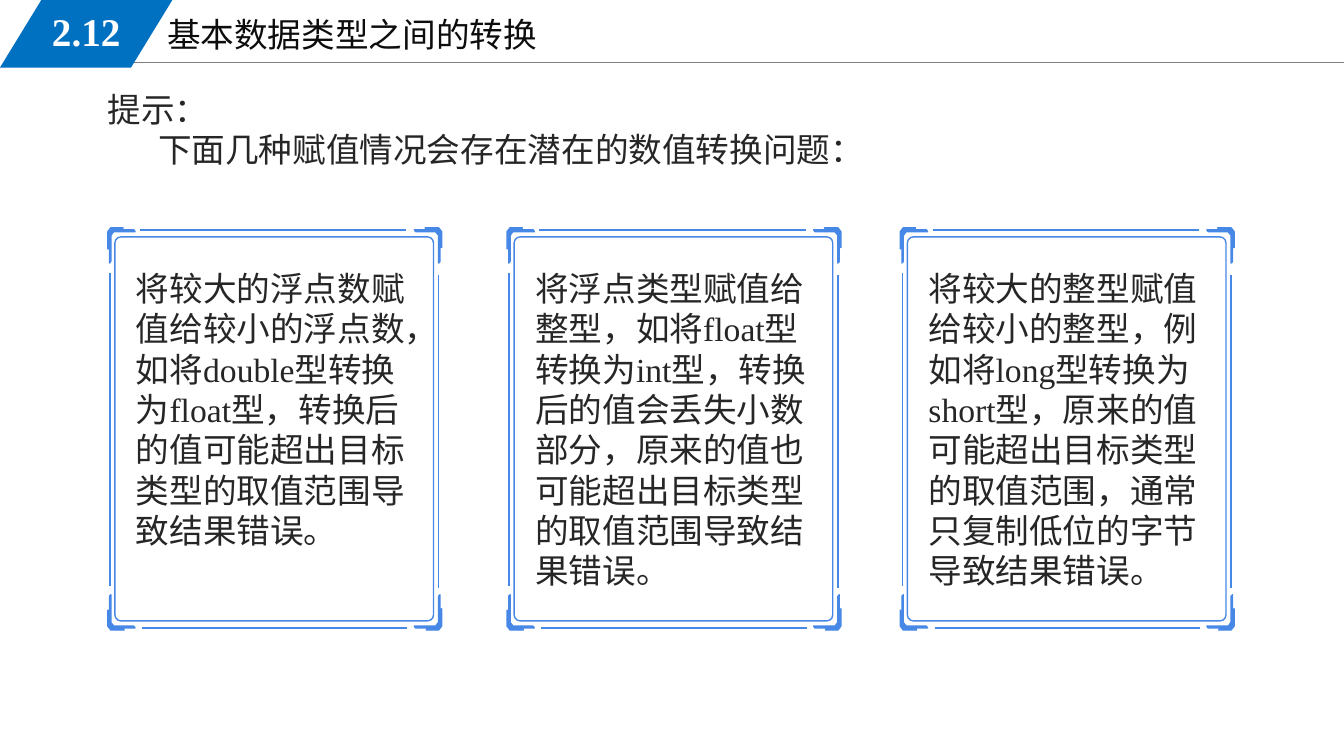
from lxml import etree
from pptx import Presentation
from pptx.dml.color import RGBColor
from pptx.enum.lang import MSO_LANGUAGE_ID as Language
from pptx.enum.shapes import MSO_CONNECTOR as Connector, MSO_SHAPE as Preset
from pptx.enum.text import MSO_ANCHOR as Anchor, MSO_AUTO_SIZE as AutoSize, PP_ALIGN as Align
from pptx.oxml.ns import qn
from pptx.util import Inches, Pt

SECTION = "2.12"
TITLE = "基本数据类型之间的转换"
HINT = ["提示：", "\t下面几种赋值情况会存在潜在的数值转换问题："]
# left edge of the card, text height, text
CARDS = [
    (1.07, 2.93, "将较大的浮点数赋值给较小的浮点数，如将double型转换为float型，"
                 "转换后的值可能超出目标类型的取值范围导致结果错误。"),
    (5.03, 3.33, "将浮点类型赋值给整型，如将float型转换为int型，转换后的值会丢失小数部分，"
                 "原来的值也可能超出目标类型的取值范围导致结果错误。"),
    (8.93, 3.33, "将较大的整型赋值给较小的整型，例如将long型转换为short型，"
                 "原来的值可能超出目标类型的取值范围，通常只复制低位的字节导致结果错误。"),
]

FONT = "Times New Roman"
WHITE = RGBColor(0xFF, 0xFF, 0xFF)
TITLE_INK = RGBColor(0x0D, 0x0D, 0x0D)
BODY_INK = RGBColor(0x26, 0x26, 0x26)
GRAY = RGBColor(0x80, 0x80, 0x80)
TAB_BLUE = RGBColor(0x00, 0x70, 0xC0)
FRAME_BLUE = RGBColor(0x47, 0x88, 0xE6)

CARD_TOP, CARD_WIDTH, CARD_HEIGHT = 2.26, 3.31, 3.99
BRACKET_WIDTH, BRACKET_HEIGHT = 0.27, 0.35
# Bottom-right bracket, as fractions of its size measured back from the corner
BRACKET = [
    (0.11, 0), (0.3, 0), (0.56, 0), (0.51, 0.06), (0.96, 0.06), (1, 0.11),
    (0.21, 0.11), (0.11, 0.22), (0.11, 0.95), (0.06, 1), (0.06, 0.54),
    (0, 0.6), (0, 0.17), (0, 0.11),
]
# Frame lines relative to the card: x1, y1, x2, y2
FRAME_LINES = [
    (0.32, 0.02, 2.96, 0.02), (0.34, 3.97, 2.97, 3.97),
    (0.02, 0.45, 0.02, 3.55), (3.28, 0.47, 3.28, 3.57),
]


def add_text(shapes, box, lines, *, color=BODY_INK, size=24, bold=False,
             align=None, anchor=Anchor.TOP):
    frame = shapes.add_textbox(*map(Inches, box)).text_frame
    frame.word_wrap = True
    frame.auto_size = AutoSize.SHAPE_TO_FIT_TEXT
    frame.vertical_anchor = anchor
    for index, line in enumerate(lines):
        paragraph = frame.add_paragraph() if index else frame.paragraphs[0]
        paragraph.alignment = align
        run = paragraph.add_run()
        run.text = line
        run.font.name = FONT
        run.font.size = Pt(size)
        run.font.bold = bold
        run.font.color.rgb = color
        run.font.language_id = Language.SIMPLIFIED_CHINESE


def add_line(shapes, ends, color, width):
    line = shapes.add_connector(Connector.STRAIGHT, *map(Inches, ends))
    line.line.color.rgb = color
    line.line.width = Pt(width)
    etree.SubElement(line._element.spPr, qn("a:effectLst"))


def style(shape, fill=None, outline=None):
    shape.shadow.inherit = False
    if fill is None:
        shape.fill.background()
    else:
        shape.fill.solid()
        shape.fill.fore_color.rgb = fill
    if outline is None:
        shape.line.fill.background()
    else:
        shape.line.color.rgb = outline
        shape.line.width = Pt(1)


def add_bracket(shapes, left, quarter_turns):
    """Turn the bracket clockwise from the bottom-right corner of a card."""
    points = []
    for u, v in BRACKET:
        x, y = 1 - 2 * u * BRACKET_WIDTH / CARD_WIDTH, 1 - 2 * v * BRACKET_HEIGHT / CARD_HEIGHT
        if quarter_turns % 2:
            x, y = 1 - 2 * v * BRACKET_WIDTH / CARD_WIDTH, 1 - 2 * u * BRACKET_HEIGHT / CARD_HEIGHT
        x *= -1 if quarter_turns in (1, 2) else 1
        y *= -1 if quarter_turns in (2, 3) else 1
        points.append((Inches(left + CARD_WIDTH * (1 + x) / 2),
                       Inches(CARD_TOP + CARD_HEIGHT * (1 + y) / 2)))
    builder = shapes.build_freeform(*points[0])
    builder.add_line_segments(points[1:], close=True)
    style(builder.convert_to_shape(), FRAME_BLUE, FRAME_BLUE)


def add_card(slide, left, text_height, text):
    shapes = slide.shapes.add_group_shape().shapes
    panel = shapes.add_shape(Preset.ROUNDED_RECTANGLE, Inches(left + 0.07),
                             Inches(CARD_TOP + 0.09), Inches(3.16), Inches(3.81))
    panel.adjustments[0] = 0.019
    style(panel, outline=FRAME_BLUE)
    for quarter_turns in range(4):
        add_bracket(shapes, left, quarter_turns)
    for x1, y1, x2, y2 in FRAME_LINES:
        add_line(shapes, (left + x1, CARD_TOP + y1, left + x2, CARD_TOP + y2), FRAME_BLUE, 1)
    add_text(shapes, (left + 0.18, CARD_TOP + 0.35, 2.91, text_height), [text])


def main():
    presentation = Presentation()
    presentation.slide_width, presentation.slide_height = Inches(13.33), Inches(7.5)
    slide = presentation.slides.add_slide(presentation.slide_layouts[6])
    shapes = slide.shapes

    add_line(shapes, (1.13, 0.62, 13.33, 0.62), GRAY, 0.75)
    add_text(shapes, (1.56, 0.09, 5.67, 0.51), [TITLE], color=TITLE_INK)
    section_tab = shapes.add_shape(Preset.PARALLELOGRAM, 0, 0, Inches(1.71), Inches(0.67))
    section_tab.adjustments[0] = 0.612
    style(section_tab, TAB_BLUE)
    add_text(shapes, (0.25, 0.02, 1.21, 0.58), [SECTION], color=WHITE, size=28,
             bold=True, align=Align.CENTER, anchor=Anchor.MIDDLE)

    add_text(shapes, (0.97, 0.83, 8.47, 0.91), HINT)
    for left, text_height, text in CARDS:
        add_card(slide, left, text_height, text)

    presentation.save("out.pptx")


if __name__ == "__main__":
    main()
